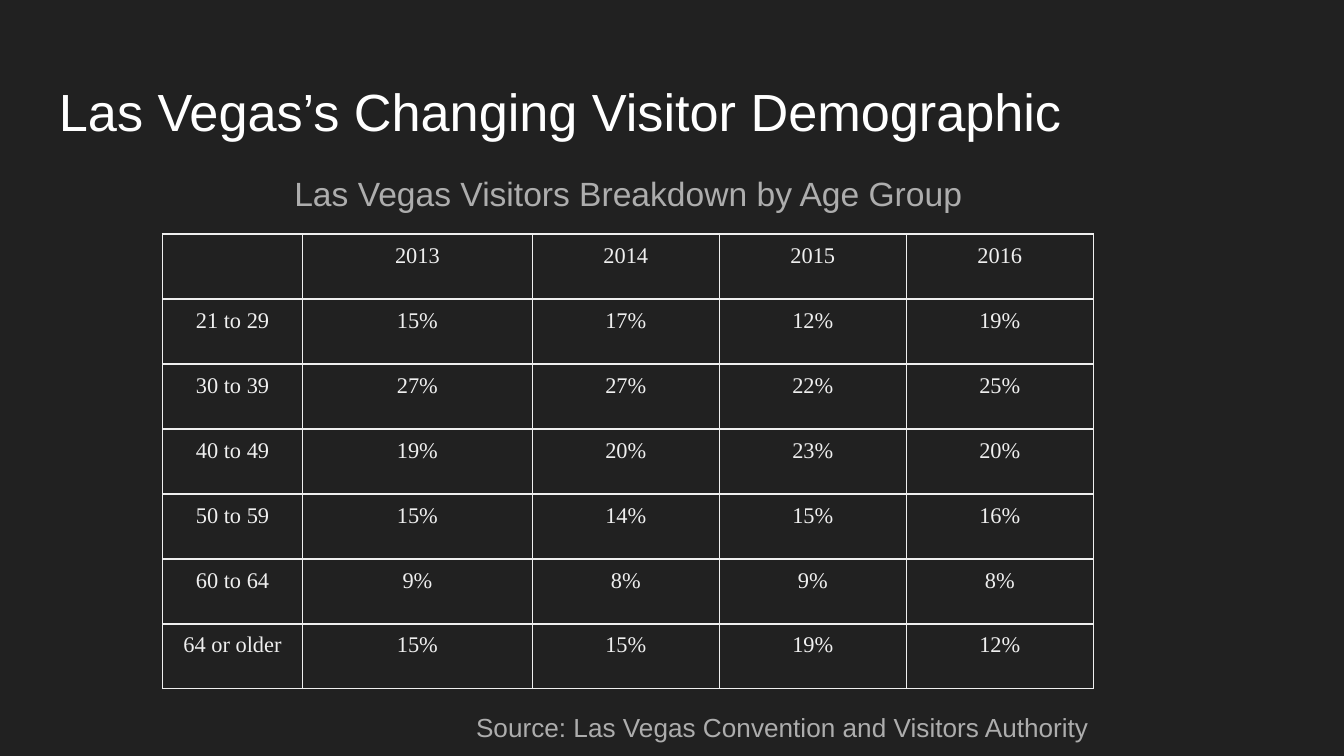
from lxml import etree
from pptx import Presentation
from pptx.dml.color import RGBColor
from pptx.enum import text
from pptx.oxml.ns import qn
from pptx.util import Pt

COLORS = {"background": "212121", "title": "FFFFFF", "caption": "ADADAD", "table": "EFEFEF"}

TITLE = "Las Vegas’s Changing Visitor Demographic"
SUBTITLE = "Las Vegas Visitors Breakdown by Age Group"
SOURCE = "Source: Las Vegas Convention and Visitors Authority"
AGE_GROUPS = [
    ("", "2013", "2014", "2015", "2016"),
    ("21 to 29", "15%", "17%", "12%", "19%"),
    ("30 to 39", "27%", "27%", "22%", "25%"),
    ("40 to 49", "19%", "20%", "23%", "20%"),
    ("50 to 59", "15%", "14%", "15%", "16%"),
    ("60 to 64", "9%", "8%", "9%", "8%"),
    ("64 or older", "15%", "15%", "19%", "12%"),
]

TABLE_LEFT, TABLE_TOP, ROW_HEIGHT = 87.1, 125.3, 34.83
COLUMN_WIDTHS = [75, 123.1, 100.2, 100.2, 100.2]
CAPTION_LEFT, CAPTION_WIDTH = 82.8, 507.6
ALIGN = text.PP_ALIGN


def rgb(name):
    return RGBColor.from_string(COLORS[name])


def write(frame, content, *, size, color, font="Arial", align=ALIGN.LEFT):
    paragraph = frame.paragraphs[0]
    paragraph.alignment = align
    run = paragraph.add_run()
    run.text = content
    run.font.name = font
    run.font.size = Pt(size)
    run.font.color.rgb = rgb(color)


def set_margins(target, margin):
    target.margin_left = target.margin_right = Pt(margin)
    target.margin_top = target.margin_bottom = Pt(margin)


def add_text(slide, content, left, top, width, height, **style):
    frame = slide.shapes.add_textbox(Pt(left), Pt(top), Pt(width), Pt(height)).text_frame
    frame.word_wrap = True
    set_margins(frame, 7.2)
    write(frame, content, **style)


def add_borders(cell):
    properties = cell._tc.get_or_add_tcPr()
    for index, side in enumerate(("a:lnL", "a:lnR", "a:lnT", "a:lnB")):
        line = etree.Element(qn(side), w=str(Pt(1)))
        fill = etree.SubElement(line, qn("a:solidFill"))
        etree.SubElement(fill, qn("a:srgbClr"), val=COLORS["table"])
        properties.insert(index, line)


def add_age_table(slide):
    rows, columns = len(AGE_GROUPS), len(COLUMN_WIDTHS)
    table = slide.shapes.add_table(
        rows, columns, Pt(TABLE_LEFT), Pt(TABLE_TOP),
        Pt(sum(COLUMN_WIDTHS)), Pt(rows * ROW_HEIGHT)).table
    table.first_row = table.horz_banding = False
    for column, width in zip(table.columns, COLUMN_WIDTHS):
        column.width = Pt(width)
    for row, values in zip(table.rows, AGE_GROUPS):
        row.height = Pt(ROW_HEIGHT)
        for cell, value in zip(row.cells, values):
            set_margins(cell, 5)
            cell.fill.background()
            add_borders(cell)
            if value:
                write(cell.text_frame, value, size=12, color="table",
                      font="Times New Roman", align=ALIGN.CENTER)


def main():
    presentation = Presentation()
    presentation.slide_width, presentation.slide_height = Pt(720), Pt(405)
    slide = presentation.slides.add_slide(presentation.slide_layouts[6])
    slide.background.fill.solid()
    slide.background.fill.fore_color.rgb = rgb("background")

    add_text(slide, TITLE, 24.5, 35.3, 671, 45.4, size=28, color="title")
    add_age_table(slide)
    add_text(slide, SUBTITLE, CAPTION_LEFT, 85.7, CAPTION_WIDTH, 45.4,
             size=18, color="caption", align=ALIGN.CENTER)
    add_text(slide, SOURCE, CAPTION_LEFT, 373.7, CAPTION_WIDTH, 23.8,
             size=14, color="caption", align=ALIGN.RIGHT)
    presentation.save("out.pptx")


if __name__ == "__main__":
    main()
